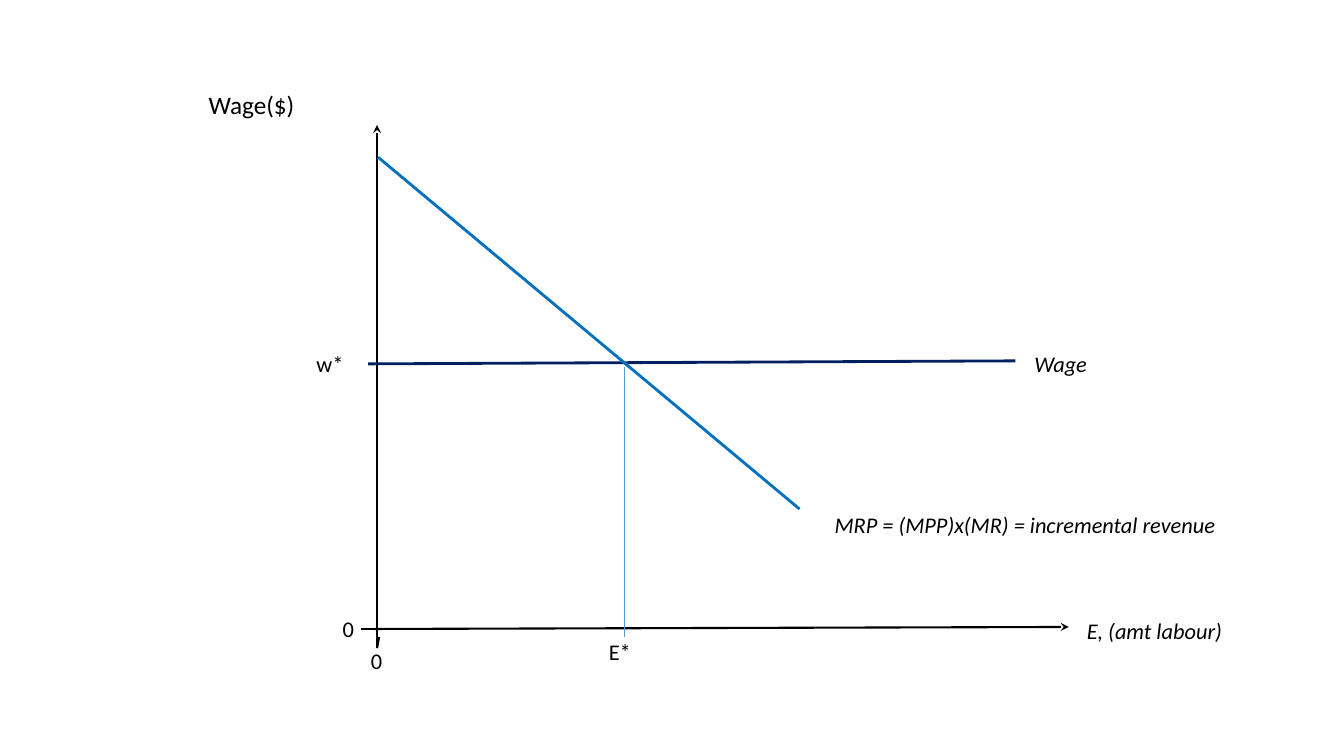
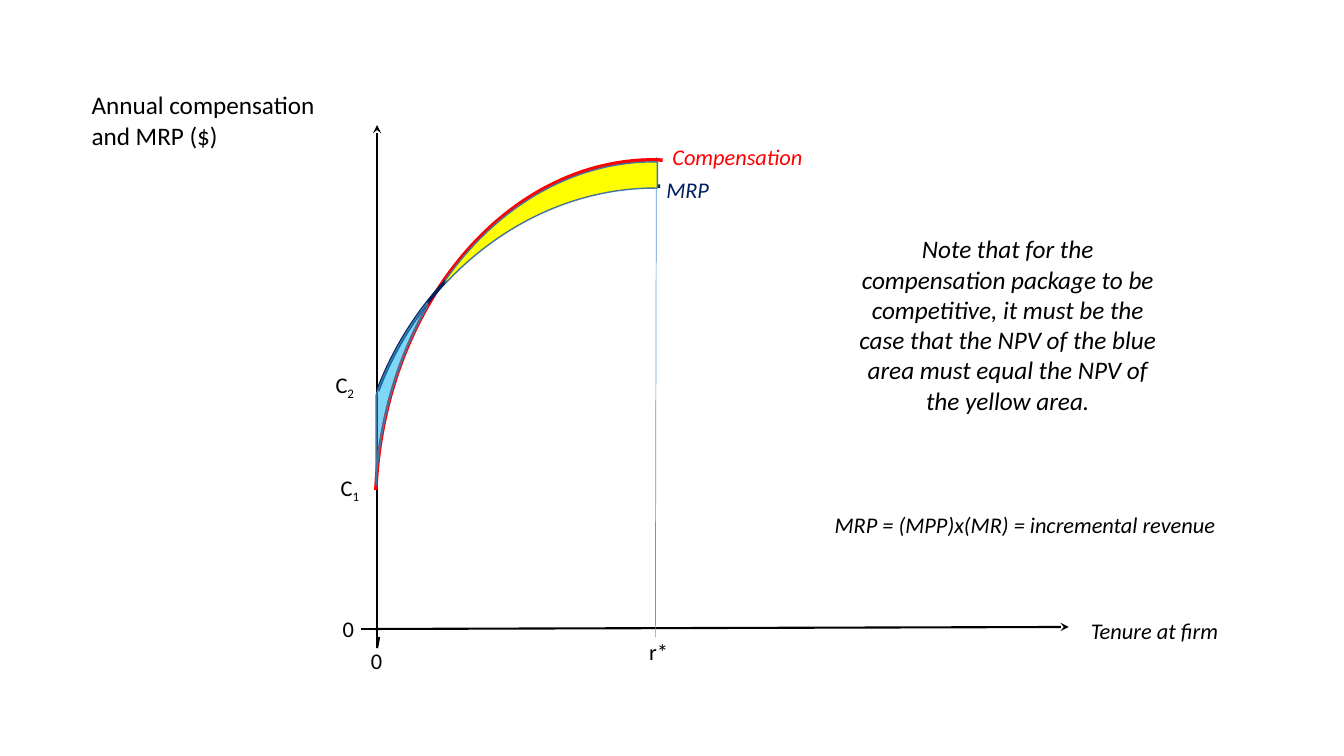
from dataclasses import dataclass
from math import acos, atan2, cos, hypot, radians, sin

from lxml.etree import SubElement
from pptx import Presentation
from pptx.dml.color import RGBColor
from pptx.enum.shapes import MSO_CONNECTOR, MSO_SHAPE
from pptx.enum.text import MSO_AUTO_SIZE, PP_ALIGN
from pptx.oxml.ns import qn
from pptx.util import Inches, Pt

BLACK, NAVY, BLUE, RED = "000000", "002060", "0070C0", "FF0000"
GUIDE, EDGE, SKY, YELLOW = "5B9BD5", "43739E", "00B0F0", "FFFF00"

ORIGIN_X, ORIGIN_Y = 3.74, 6.24
AXIS_TOP, AXIS_RIGHT = 1.24, 10.6
GUIDE_FOOT = 6.32
LINE_HEIGHT = 0.37


@dataclass
class Curve:
    left: float
    top: float
    width: float
    height: float
    rotation: float
    angles: tuple
    color: str

    def height_at(self, x):
        across, down = self.width / 2, self.height / 2
        turn = radians(self.rotation)
        reach = hypot(across * cos(turn), down * sin(turn))
        phase = atan2(down * sin(turn), across * cos(turn))
        swing = acos((x - self.left - across) / reach)
        return self.top + down + min(
            across * cos(angle) * sin(turn) + down * sin(angle) * cos(turn)
            for angle in (swing - phase, -swing - phase))


COMPENSATION = Curve(3.03, 2.28, 6.79, 5.4, 272.5, (162, 0), RED)
PRODUCT = Curve(3.27, 2.11, 6.07, 5.47, 290.7, (162, 206.36), NAVY)


def rgb(value):
    return RGBColor.from_string(value)


class Chart:
    font = {"name": "Calibri", "size": Pt(16)}
    heading = {"size": Pt(18)}
    formula = {"italic": True}

    def __init__(self):
        self.deck = Presentation()
        self.deck.slide_width, self.deck.slide_height = Inches(13.33), Inches(7.5)

    def new_page(self):
        self.page = self.deck.slides.add_slide(self.deck.slide_layouts[6])

    def stroke(self, shape, color, width):
        shape.line.color.rgb = rgb(color)
        shape.line.width = Pt(width)

    def line(self, start, end, color=BLACK, width=1.5, arrow=False):
        ends = map(Inches, (*start, *end))
        connector = self.page.shapes.add_connector(MSO_CONNECTOR.STRAIGHT, *ends)
        self.stroke(connector, color, width)
        properties = connector._element.spPr
        if arrow:
            SubElement(properties.find(qn("a:ln")), qn("a:headEnd"), type="stealth")
        SubElement(properties, qn("a:effectLst"))

    def text(self, words, left, top, width, height=LINE_HEIGHT, color=BLACK,
             subscript="", align=PP_ALIGN.LEFT, **style):
        box = self.page.shapes.add_textbox(*map(Inches, (left, top, width, height)))
        box.text_frame.word_wrap = True
        box.text_frame.auto_size = MSO_AUTO_SIZE.SHAPE_TO_FIT_TEXT
        para = box.text_frame.paragraphs[0]
        para.alignment = align
        for part in filter(None, (words, subscript)):
            span = para.add_run()
            span.text = part
            for name, value in (self.font | style).items():
                setattr(span.font, name, value)
            span.font.color.rgb = rgb(color)
        if subscript:
            span._r.get_or_add_rPr().set("baseline", "-25000")

    def curve(self, curve):
        frame = map(Inches, (curve.left, curve.top, curve.width, curve.height))
        arc = self.page.shapes.add_shape(MSO_SHAPE.ARC, *frame)
        arc.rotation = curve.rotation
        for index, angle in enumerate(curve.angles):
            arc.adjustments[index] = angle
        arc.shadow.inherit = False
        arc.fill.background()
        self.stroke(arc, curve.color, 2.5)

    def area_between(self, upper, lower, start, end, color, opacity=100, drop=0, steps=40):
        columns = [start + (end - start) * (step / steps) ** 2 for step in range(steps + 1)]
        outline = [(x, upper.height_at(x) + drop) for x in columns]
        outline += [(x, lower.height_at(x) + drop) for x in reversed(columns)]
        corners = [(Inches(x), Inches(y)) for x, y in outline]
        builder = self.page.shapes.build_freeform(*corners[0])
        builder.add_line_segments(corners[1:])
        region = builder.convert_to_shape()
        region.shadow.inherit = False
        region.fill.solid()
        region.fill.fore_color.rgb = rgb(color)
        if opacity < 100:
            fill = region._element.spPr.find(qn("a:solidFill"))
            SubElement(fill[0], qn("a:alpha"), val=str(opacity * 1000))
        self.stroke(region, EDGE, 1)

    def axes(self, across_label):
        self.line((ORIGIN_X, AXIS_TOP), (ORIGIN_X, 6.42), arrow=True)
        self.line((AXIS_RIGHT, 6.22), (3.72, ORIGIN_Y), arrow=True)
        self.line((ORIGIN_X, 6.43), (3.76, GUIDE_FOOT))
        self.line((3.58, ORIGIN_Y), (3.76, ORIGIN_Y))
        for left, top, width in ((3.58, 6.37, 0.43), (3.3, 6.05, 0.28)):
            self.text("0", left, top, width)
        self.text(across_label, AXIS_RIGHT, 6.07, 1.7, align=PP_ALIGN.CENTER, **self.formula)
        self.text("MRP = (MPP)x(MR) = incremental revenue", 8.18, 5.02, 4.4, **self.formula)

    def guide(self, top, foot_x, label, label_left):
        self.line(top, (foot_x, GUIDE_FOOT), GUIDE, 0.5)
        self.text(label, label_left, 6.28, 0.52)


def wage_page(chart):
    chart.new_page()
    chart.axes("E, (amt labour)")
    chart.text("Wage($)", 1.97, 0.84, 1.61, 0.4, **chart.heading)
    chart.text("Wage", 10.16, 3.42, 1.29, **chart.formula)
    chart.text("w*", 3.04, 3.42, 0.61)
    chart.line((3.65, 3.61), (10.07, 3.58), NAVY, 2)
    chart.guide((6.19, 3.64), 6.19, "E*", 5.94)
    chart.line((3.75, 1.56), (7.93, 5.05), BLUE, 2)


def tenure_page(chart):
    chart.new_page()
    chart.axes("Tenure at firm")
    chart.text("Annual compensation and MRP ($)", 0.81, 0.84, 2.77, 0.71, **chart.heading)
    chart.guide((6.51, 1.56), 6.5, "r*", 6.34)
    for curve, name, left, top in ((COMPENSATION, "Compensation", 6.57, 1.37),
                                   (PRODUCT, "MRP", 6.51, 1.7)):
        chart.curve(curve)
        chart.text(name, left, top, 2.11, color=curve.color, **chart.formula)
    for number, left, top in (("2", 3.23, 3.63), ("1", 3.28, 4.65)):
        chart.text("C", left, top, 0.42, subscript=number)
    chart.area_between(PRODUCT, COMPENSATION, 3.73, 4.24, SKY, opacity=50)
    chart.area_between(COMPENSATION, PRODUCT, 4.42, 6.52, YELLOW, drop=0.02)
    chart.text(
        "Note that for the compensation package to be competitive, it must be the case "
        "that the NPV of the blue area must equal the NPV of the yellow area.",
        8.32, 2.27, 3.35, 1.92, align=PP_ALIGN.CENTER, **chart.heading, **chart.formula)


def main():
    chart = Chart()
    wage_page(chart)
    tenure_page(chart)
    chart.deck.save("out.pptx")


if __name__ == "__main__":
    main()
